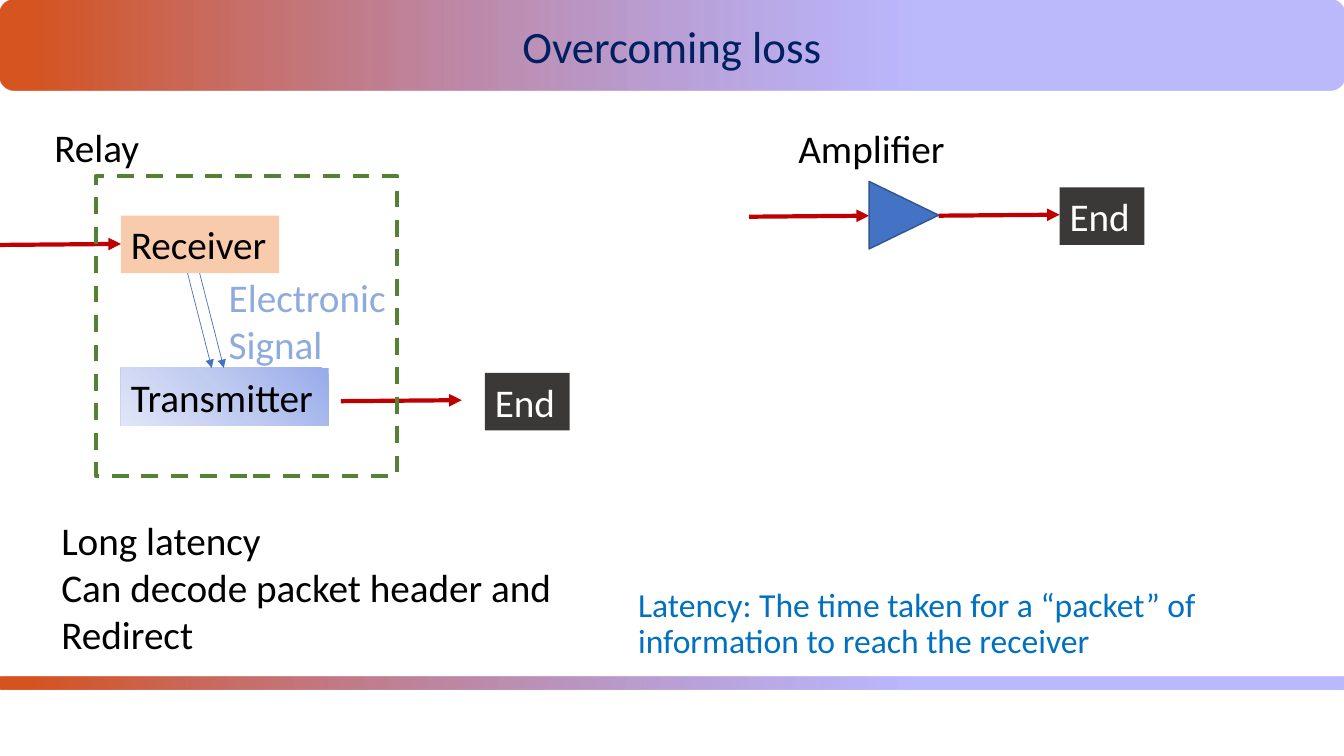
import pptx
import pptx.util
import pptx.dml.color
import pptx.enum.dml
import pptx.enum.shapes
import pptx.enum.text
import pptx.oxml
import pptx.oxml.ns
import lxml.etree

RGB = pptx.dml.color.RGBColor
SHAPE = pptx.enum.shapes.MSO_SHAPE
ALIGN = pptx.enum.text.PP_ALIGN
qn = pptx.oxml.ns.qn

BLACK = RGB(0x00, 0x00, 0x00)
WHITE = RGB(0xFF, 0xFF, 0xFF)
NAVY = RGB(0x00, 0x20, 0x60)
SKY = RGB(0x00, 0x70, 0xC0)
PALE_BLUE = RGB(0x8F, 0xAA, 0xDC)
BLUE = RGB(0x44, 0x72, 0xC4)
DARK_BLUE = RGB(0x32, 0x54, 0x91)
PEACH = RGB(0xF8, 0xCB, 0xAD)
CHARCOAL = RGB(0x3B, 0x38, 0x38)
RED = RGB(0xC0, 0x00, 0x00)
GREEN = RGB(0x54, 0x82, 0x35)
ORANGE = RGB(0xD6, 0x54, 0x20)
VIOLET = RGB(0x7B, 0x75, 0xFB)
SIGNAL_DEEP = RGB(0x96, 0xAB, 0xEA)
SIGNAL_MID = RGB(0xC0, 0xCB, 0xF0)
SIGNAL_LIGHT = RGB(0xE0, 0xE5, 0xF7)

PX = 9144
FONT = "Calibri"
SLIDE = (1333, 750)

BAND_GRADIENT = (0, [(2, ORANGE, 100), (68, VIOLET, 51)])
TRANSMITTER_GRADIENT = (
    135, [(0, SIGNAL_DEEP, 100), (50, SIGNAL_MID, 100), (100, SIGNAL_LIGHT, 100)])

BANDS = [(0, 0, 1333, 90), (0, 671, 1333, 13)]

BLOCKS = [
    ("Receiver", (120, 214, 157, 57), PEACH, BLACK),
    ("Transmitter", (120, 365, 206, 57), TRANSMITTER_GRADIENT, BLACK),
    ("End", (481, 370, 84, 57), CHARCOAL, WHITE),
    ("End", (1051, 186, 84, 57), CHARCOAL, WHITE),
]

TEXTS = [
    (["Overcoming loss"], (0, 20, 1333, 46),
     {"size": 32, "color": NAVY, "align": ALIGN.CENTER, "spacing": 0.9}),
    (["Relay"], (44, 117, 507, 57), {}),
    (["Amplifier"], (782, 118, 507, 57), {}),
    (["Electronic", "Signal"], (217, 266, 180, 104), {"color": PALE_BLUE}),
    (["Long latency", "Can decode packet header and", "Redirect"],
     (51, 507, 507, 151), {}),
    (["Latency: The time taken for a “packet” of information to reach the receiver"],
     (623, 579, 675, 112), {"size": 24, "color": SKY, "spacing": 0.9}),
]

ARROWS = [
    ((0, 243, 120, 242), RED, 3),
    ((186, 271, 210, 365), BLUE, 0.5),
    ((198, 271, 222, 365), BLUE, 0.5),
    ((338, 398, 458, 397), RED, 3),
    ((743, 215, 862, 214), RED, 3),
    ((931, 214, 1051, 213), RED, 3),
]

RELAY_FRAME = (95, 175, 299, 297)
AMPLIFIER = (863, 179, 67, 69)


def emu(box):
    return [v * PX for v in box]


def set_gradient(fill, angle, stops):
    fill.gradient()
    fill.gradient_angle = (360 - angle) % 360
    gs_list = fill._xPr.find(qn("a:gradFill")).find(qn("a:gsLst"))
    for gs in list(gs_list):
        gs_list.remove(gs)
    for position, color, opacity in stops:
        gs = lxml.etree.SubElement(gs_list, qn("a:gs"), pos=str(position * 1000))
        clr = lxml.etree.SubElement(gs, qn("a:srgbClr"), val=str(color))
        if opacity < 100:
            lxml.etree.SubElement(clr, qn("a:alpha"), val=str(opacity * 1000))


def set_line(line, color, width):
    line.color.rgb = color
    line.width = pptx.util.Pt(width)


def add_shape(slide, kind, box, fill=None):
    sp = slide.shapes.add_shape(kind, *emu(box))
    sp.shadow.inherit = False
    sp.line.fill.background()
    if fill is None:
        sp.fill.background()
    elif isinstance(fill, RGB):
        sp.fill.solid()
        sp.fill.fore_color.rgb = fill
    else:
        set_gradient(sp.fill, *fill)
    return sp


def write(sp, lines, size=28, color=BLACK, align=ALIGN.LEFT, spacing=1.0):
    tf = sp.text_frame
    tf.word_wrap = True
    tf.vertical_anchor = pptx.enum.text.MSO_ANCHOR.TOP
    for i, line in enumerate(lines):
        p = tf.add_paragraph() if i else tf.paragraphs[0]
        for name, value in {"alignment": align, "line_spacing": spacing}.items():
            setattr(p, name, value)
        r = p.add_run()
        r.text = line
        for name, value in {"name": FONT, "size": pptx.util.Pt(size)}.items():
            setattr(r.font, name, value)
        r.font.color.rgb = color


def add_arrow(slide, ends, color, width):
    c = slide.shapes.add_connector(
        pptx.enum.shapes.MSO_CONNECTOR.STRAIGHT, *emu(ends))
    set_line(c.line, color, width)
    lxml.etree.SubElement(c.line._get_or_add_ln(), qn("a:tailEnd"), type="triangle")
    lxml.etree.SubElement(c._element.spPr, qn("a:effectLst"))


def main():
    prs = pptx.Presentation()
    prs.slide_width, prs.slide_height = emu(SLIDE)
    slide = prs.slides.add_slide(prs.slide_layouts[6])

    for box in BANDS:
        add_shape(slide, SHAPE.ROUNDED_RECTANGLE, box, BAND_GRADIENT)
    for label, box, fill, color in BLOCKS:
        write(add_shape(slide, SHAPE.RECTANGLE, box, fill), [label], color=color)
    for lines, box, style in TEXTS:
        write(slide.shapes.add_textbox(*emu(box)), lines, **style)
    for arrow in ARROWS:
        add_arrow(slide, *arrow)

    frame = add_shape(slide, SHAPE.RECTANGLE, RELAY_FRAME)
    set_line(frame.line, GREEN, 3)
    frame.line.dash_style = pptx.enum.dml.MSO_LINE.DASH

    amplifier = add_shape(slide, SHAPE.ISOSCELES_TRIANGLE, AMPLIFIER, BLUE)
    amplifier.rotation = 90
    set_line(amplifier.line, DARK_BLUE, 1)

    prs.save("out.pptx")


if __name__ == "__main__":
    main()
